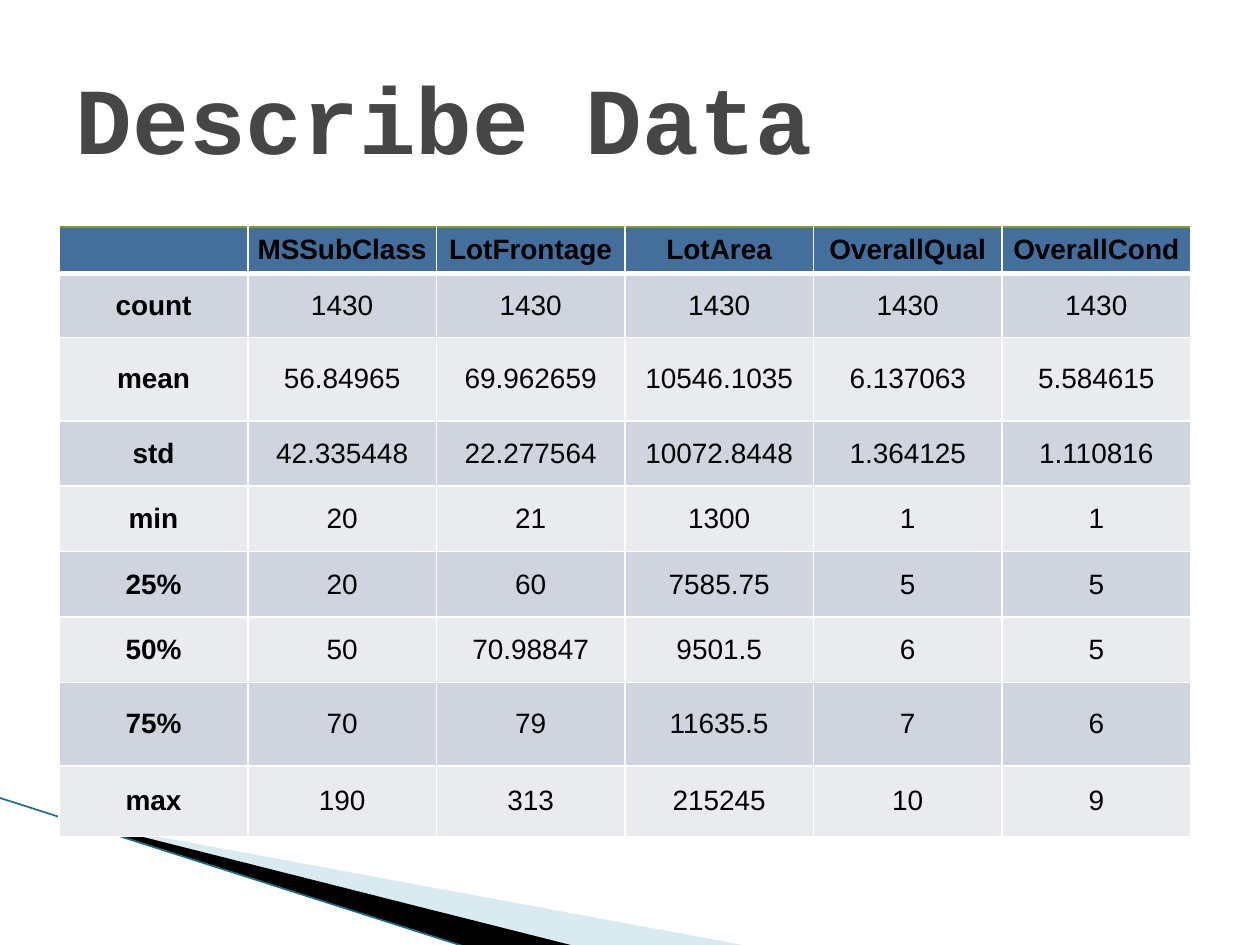
import dataclasses
import typing

import lxml.etree
import pptx
import pptx.dml.color
import pptx.enum.shapes
import pptx.enum.text
import pptx.oxml.ns
import pptx.util

Inches = pptx.util.Inches
Point = typing.Tuple[float, float]
Box = typing.Tuple[float, float, float, float]


@dataclasses.dataclass(frozen=True)
class Theme:
    title_font: str = "Courier New"
    table_font: str = "Arial"
    title_size: int = 54
    table_size: int = 16
    title: str = "464646"
    text: str = "000000"
    header: str = "446F9D"
    bands: typing.Tuple[str, str] = ("CFD4DF", "E9EBEF")
    grid: str = "FFFFFF"
    header_rule: str = "83992A"
    pale_wedge: str = "A0CBDC"
    dark_wedge: str = "000000"
    edge: str = "1B6E85"


@dataclasses.dataclass(frozen=True)
class Wedge:
    box: Box
    points: typing.Sequence[Point]
    color: str
    alpha: int = 100


@dataclasses.dataclass(frozen=True)
class Row:
    height: float
    cells: typing.Sequence[str]


@dataclasses.dataclass(frozen=True)
class Border:
    side: str
    color: str
    width: float


THEME = Theme()

WEDGES = [
    Wedge((0.78, 5.47, 4.16, 1.58),
          [(0.55, 6.51), (5.95, 7.51), (4.56, 7.51), (0.55, 6.5)], THEME.pale_wedge, 40),
    Wedge((-0.06, 6.33, 4.16, 0.92),
          [(0.53, 6.49), (4.57, 7.51), (3.72, 7.52), (0.54, 6.5)], THEME.dark_wedge),
]

ROWS = [
    Row(0.37, ["", "MSSubClass", "LotFrontage", "LotArea", "OverallQual", "OverallCond"]),
    Row(0.51, ["count"] + ["1430"] * 5),
    Row(0.66, ["mean", "56.84965", "69.962659", "10546.1035", "6.137063", "5.584615"]),
    Row(0.52, ["std", "42.335448", "22.277564", "10072.8448", "1.364125", "1.110816"]),
    Row(0.52, ["min", "20", "21", "1300", "1", "1"]),
    Row(0.52, ["25%", "20", "60", "7585.75", "5", "5"]),
    Row(0.52, ["50%", "50", "70.98847", "9501.5", "6", "5"]),
    Row(0.66, ["75%", "70", "79", "11635.5", "7", "6"]),
    Row(0.56, ["max", "190", "313", "215245", "10", "9"]),
]


def rgb(color: str) -> pptx.dml.color.RGBColor:
    return pptx.dml.color.RGBColor.from_string(color)


def sub(parent, tag: str, **attrs: str):
    return lxml.etree.SubElement(parent, pptx.oxml.ns.qn(tag), **attrs)


def place(sp, box: Box) -> None:
    sp.left, sp.top, sp.width, sp.height = map(Inches, box)


def style_text(p, font: str, size: int, color: str, bold: bool) -> None:
    p.font.name = font
    p.font.size = pptx.util.Pt(size)
    p.font.bold = bold
    p.font.color.rgb = rgb(color)


def reframe(sp, box: Box) -> None:
    """Give the outline a new frame while its points stay where they are."""
    dx, dy = sp.left - Inches(box[0]), sp.top - Inches(box[1])
    place(sp, box)
    outline = sp._element.spPr.find(".//" + pptx.oxml.ns.qn("a:path"))
    outline.set("w", str(sp.width))
    outline.set("h", str(sp.height))
    for pt in outline.iter(pptx.oxml.ns.qn("a:pt")):
        pt.set("x", str(int(pt.get("x")) + dx))
        pt.set("y", str(int(pt.get("y")) + dy))


def draw_wedge(slide, wedge: Wedge) -> None:
    points = [(Inches(x), Inches(y)) for x, y in wedge.points]
    builder = slide.shapes.build_freeform(*points[0], scale=1.0)
    builder.add_line_segments(points[1:], close=True)
    sp = builder.convert_to_shape()
    reframe(sp, wedge.box)
    sp.shadow.inherit = False
    sp.line.fill.background()
    sp.fill.solid()
    sp.fill.fore_color.rgb = rgb(wedge.color)
    if wedge.alpha < 100:
        clr = sp._element.spPr.find(".//" + pptx.oxml.ns.qn("a:srgbClr"))
        sub(clr, "a:alpha", val=str(wedge.alpha * 1000))


def draw_edge(slide, start: Point, end: Point) -> None:
    line = slide.shapes.add_connector(
        pptx.enum.shapes.MSO_CONNECTOR.STRAIGHT, *map(Inches, start + end))
    line.line.color.rgb = rgb(THEME.edge)
    line.line.width = pptx.util.Pt(0.95)
    sub(line._element.spPr, "a:effectLst")


def add_border(cell, border: Border) -> None:
    ln = sub(cell._tc.get_or_add_tcPr(), "a:ln" + border.side,
             w=str(pptx.util.Pt(border.width)))
    sub(sub(ln, "a:solidFill"), "a:srgbClr", val=border.color)


def cell_borders(row: int) -> typing.List[Border]:
    """Thin grid, with a coloured rule above the header and a thick one below."""
    top = {0: Border("T", THEME.header_rule, 1.5), 1: Border("T", THEME.grid, 3)}
    return [
        Border("L", THEME.grid, 1),
        Border("R", THEME.grid, 1),
        top.get(row, Border("T", THEME.grid, 1)),
        Border("B", THEME.grid, 3 if row == 0 else 1),
    ]


def draw_cell(cell, text: str, row: int, col: int) -> None:
    for border in cell_borders(row):
        add_border(cell, border)
    cell.fill.solid()
    cell.fill.fore_color.rgb = rgb(THEME.bands[(row - 1) % 2] if row else THEME.header)
    cell.margin_left = cell.margin_right = cell.margin_top = cell.margin_bottom = 0
    cell.vertical_anchor = pptx.enum.text.MSO_ANCHOR.MIDDLE
    p = cell.text_frame.paragraphs[0]
    p.alignment = pptx.enum.text.PP_ALIGN.CENTER
    style_text(p, THEME.table_font, THEME.table_size, THEME.text, row == 0 or col == 0)
    if text:
        p.add_run().text = text


def draw_table(slide, rows: typing.Sequence[Row], left: float, top: float,
               width: float) -> None:
    height = sum(row.height for row in rows)
    frame = slide.shapes.add_table(len(rows), len(rows[0].cells), Inches(left),
                                   Inches(top), Inches(width), Inches(height))
    table = frame.table
    for r, row in enumerate(rows):
        table.rows[r].height = Inches(row.height)
        for c, text in enumerate(row.cells):
            draw_cell(table.cell(r, c), text, r, c)


def draw_title(slide, text: str) -> None:
    title = slide.shapes.title
    place(title, (0.5, 0.3, 9, 1.25))
    tf = title.text_frame
    tf.text = text
    tf.vertical_anchor = pptx.enum.text.MSO_ANCHOR.MIDDLE
    p = tf.paragraphs[0]
    p.alignment = pptx.enum.text.PP_ALIGN.LEFT
    style_text(p, THEME.title_font, THEME.title_size, THEME.title, True)


def main() -> None:
    prs = pptx.Presentation()
    prs.slide_width, prs.slide_height = Inches(10), Inches(7.5)
    slide = prs.slides.add_slide(prs.slide_layouts[5])

    # Corner decoration
    for wedge in WEDGES:
        draw_wedge(slide, wedge)
    draw_edge(slide, (-0.01, 6.33), (3.71, 7.52))

    # Statistics table and heading
    draw_table(slide, ROWS, left=0.47, top=1.8, width=8.98)
    draw_title(slide, "Describe Data")

    prs.save("out.pptx")


if __name__ == "__main__":
    main()
